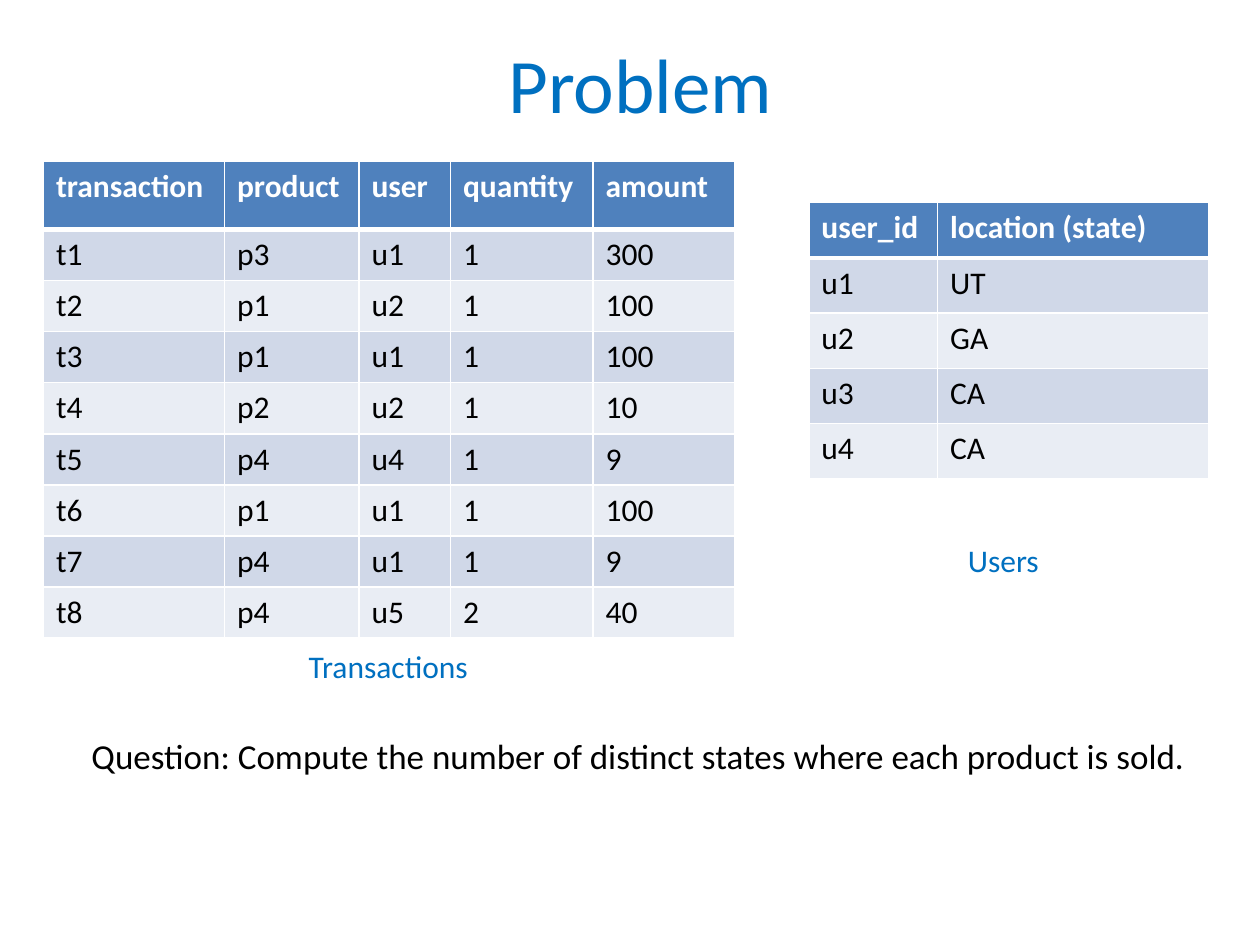
from lxml.etree import SubElement
from pptx import Presentation
from pptx.dml.color import RGBColor
from pptx.enum.text import MSO_ANCHOR as Anchor, PP_ALIGN as Align
from pptx.oxml.ns import qn
from pptx.util import Pt

BLUE, BLACK, WHITE = "0070C0", "000000", "FFFFFF"
HEADER_FILL, STRIPES = "4F81BD", ("D0D8E8", "E9EDF4")

USERS = [
    ("user_id", "location (state)"),
    ("u1", "UT"),
    ("u2", "GA"),
    ("u3", "CA"),
    ("u4", "CA"),
]
TRANSACTIONS = [
    ("transaction", "product", "user", "quantity", "amount"),
    ("t1", "p3", "u1", "1", "300"),
    ("t2", "p1", "u2", "1", "100"),
    ("t3", "p1", "u1", "1", "100"),
    ("t4", "p2", "u2", "1", "10"),
    ("t5", "p4", "u4", "1", "9"),
    ("t6", "p1", "u1", "1", "100"),
    ("t7", "p4", "u1", "1", "9"),
    ("t8", "p4", "u5", "2", "40"),
]
# rows, left, top, column widths, header height, body row height
TABLES = [
    (USERS, 462.2, 115.5, (73.6, 155), 32, 31.5),
    (TRANSACTIONS, 24.8, 92.3, (103.5, 76.8, 52.3, 81.5, 81.2), 38.8, 29.2),
]
QUESTION = "Question: Compute the number of distinct states where each product is sold."
# text, left, top, width, height, size
LABELS = [
    ("Users", 546, 305.6, 55.4, 29, 18),
    ("Transactions", 169.3, 366, 106.5, 29, 18),
    (QUESTION, 45.2, 416.3, 645.8, 31.5, 20),
]


def rgb(color):
    return RGBColor.from_string(color)


def write(frame, text, size=18, color=BLACK, bold=False, align=Align.LEFT):
    paragraph = frame.paragraphs[0]
    paragraph.alignment = align
    run = paragraph.add_run()
    run.text = text
    run.font.name = "Calibri"
    run.font.size = Pt(size)
    run.font.bold = bold
    run.font.color.rgb = rgb(color)


def add_text(slide, text, left, top, width, height, wrap=False,
             anchor=Anchor.TOP, **text_format):
    box = slide.shapes.add_textbox(Pt(left), Pt(top), Pt(width), Pt(height))
    box.text_frame.word_wrap = wrap
    box.text_frame.vertical_anchor = anchor
    write(box.text_frame, text, **text_format)


def set_borders(cell, **widths):
    properties = cell._tc.get_or_add_tcPr()
    for side in "LRTB":
        line = SubElement(properties, qn(f"a:ln{side}"), w=str(Pt(widths.get(side, 1))))
        fill = SubElement(line, qn("a:solidFill"))
        SubElement(fill, qn("a:srgbClr"), val=WHITE)


def add_table(slide, rows, left, top, widths, header_height, row_height):
    heights = [header_height] + [row_height] * (len(rows) - 1)
    table = slide.shapes.add_table(
        len(rows), len(widths), Pt(left), Pt(top), Pt(sum(widths)), Pt(sum(heights))
    ).table
    for column, width in zip(table.columns, widths):
        column.width = Pt(width)
    for i, (values, height) in enumerate(zip(rows, heights)):
        table.rows[i].height = Pt(height)
        header = i == 0
        for j, value in enumerate(values):
            cell = table.cell(i, j)
            set_borders(cell, T=3 if i == 1 else 1, B=3 if header else 1)
            cell.fill.solid()
            cell.fill.fore_color.rgb = rgb(HEADER_FILL if header else STRIPES[(i - 1) % 2])
            write(cell.text_frame, value, color=WHITE if header else BLACK, bold=header)


def main():
    presentation = Presentation()
    presentation.slide_width, presentation.slide_height = Pt(720), Pt(540)
    slide = presentation.slides.add_slide(presentation.slide_layouts[6])
    add_text(slide, "Problem", 42, 2, 648, 90, wrap=True, anchor=Anchor.MIDDLE,
             size=44, color=BLUE, align=Align.CENTER)
    for table in TABLES:
        add_table(slide, *table)
    for text, left, top, width, height, size in LABELS:
        add_text(slide, text, left, top, width, height, size=size,
                 color=BLACK if text == QUESTION else BLUE)
    presentation.save("out.pptx")


if __name__ == "__main__":
    main()
